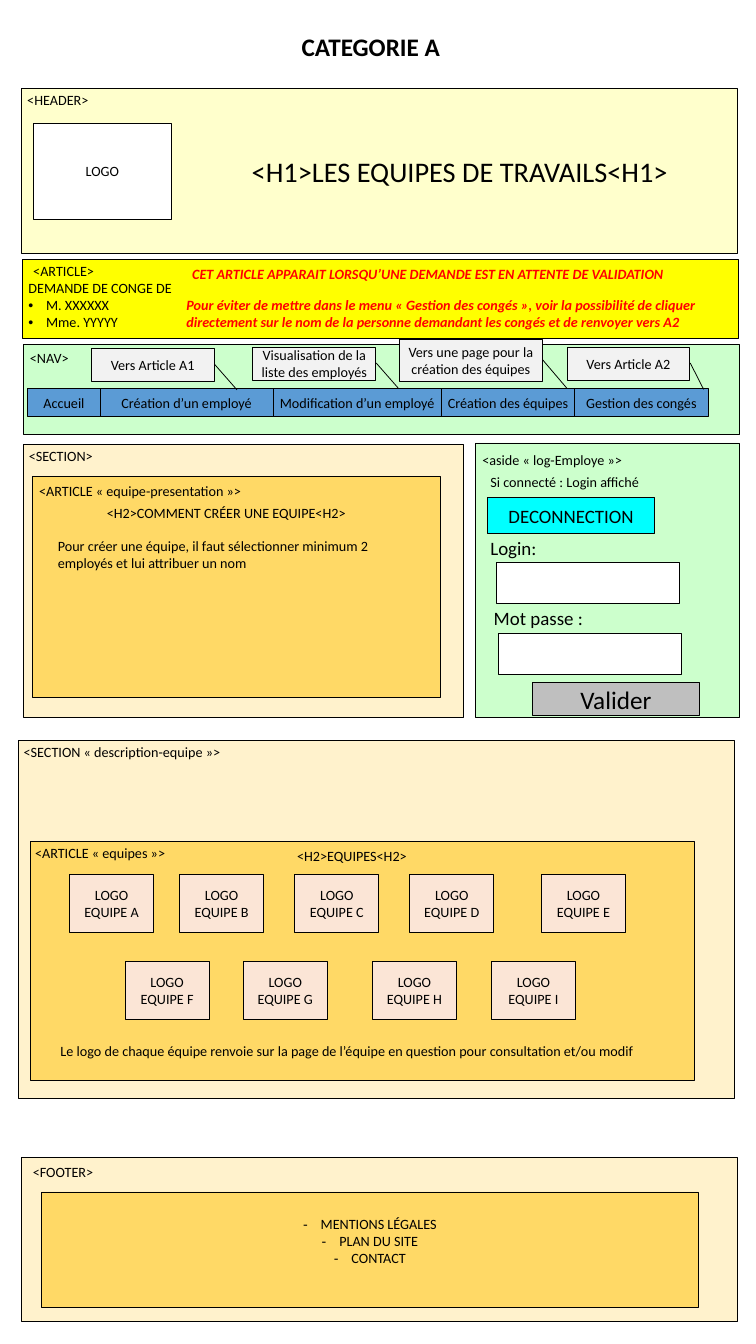
import pptx
import pptx.util
import pptx.dml.color
import pptx.enum.shapes
import pptx.enum.text
import pptx.oxml.ns
import lxml.etree

Cm, Pt = pptx.util.Cm, pptx.util.Pt
SHAPE = pptx.enum.shapes.MSO_SHAPE
ANCHOR = pptx.enum.text.MSO_ANCHOR
ALIGN = pptx.enum.text.PP_ALIGN

CREAM, GOLD, GREEN, BLUE = "FFF2CC", "FFD966", "CCFFCC", "5B9BD5"
FULL_WIDTH, LINE_HEIGHT = 32.08, 1.02
CENTRED = dict(align=ALIGN.CENTER, anchor=ANCHOR.MIDDLE)
ALERT = dict(color="FF0000", bold=True, italic=True)
BORDER = dict(border="000000")

# Each part: text, (left, top, width, height) in cm, look
HEADER = [
    ("", (0.97, 3.96, FULL_WIDTH, 7.37), dict(fill="FFFFCC", **BORDER)),
    ("<HEADER>", (0.97, 3.96, 4, LINE_HEIGHT), {}),
    ("LOGO", (1.5, 5.51, 6.17, 4.32), dict(fill="FFFFFF", **BORDER, **CENTRED)),
    ("<H1>LES EQUIPES DE TRAVAILS<H1>", (10, 4.62, 21.2, 6.07), dict(size=36, **CENTRED)),
]
FOOTER = [
    ("", (0.97, 51.84, FULL_WIDTH, 7.37), dict(fill=CREAM, **BORDER)),
    ("<FOOTER>", (1.22, 51.99, 4, LINE_HEIGHT), dict(fill=CREAM)),
]
LEGAL_LINKS = ["MENTIONS LÉGALES", "PLAN DU SITE", "CONTACT"]
NAV = [
    ("", (1.04, 15.44, FULL_WIDTH, 4.04), dict(fill=GREEN, **BORDER)),
    ("<NAV>", (1.09, 15.52, 4, LINE_HEIGHT), dict(fill=GREEN)),
]
NAV_LEFT, NAV_TOP, NAV_HEIGHT = 1.24, 17.42, 1.22
NAV_BUTTONS = [
    ("Accueil", 3.25),
    ("Création d’un employé", 7.74),
    ("Modification d’un employé", 7.55),
    ("Création des équipes", 5.97),
    ("Gestion des congés", 5.97),
]
# Callouts: text, place, where the pointer ends (down, across)
CALLOUTS = [
    ("Vers Article A1", (4.09, 15.6, 5.51, 1.5), (1.242, -0.185)),
    ("Visualisation de la liste des employés", (11.33, 15.54, 5.51, 1.5), (1.242, -0.185)),
    ("Vers une page pour la création des équipes", (17.91, 15.21, 6.38, 1.88), (1.165, -0.175)),
    ("Vers Article A2", (25.4, 15.54, 5.51, 1.5), (1.269, -0.112)),
]
PRESENTATION = [
    ("<SECTION>", (1.04, 19.89, 19.71, 12.24), dict(fill=CREAM, **BORDER)),
    ("", (1.45, 21.36, 18.29, 9.86), dict(fill=GOLD, **BORDER)),
    ("<ARTICLE «\u00a0equipe-presentation\u00a0»>", (1.5, 21.49, 9.83, LINE_HEIGHT), dict(fill=GOLD)),
    ("Pour créer une équipe, il faut sélectionner minimum 2 employés et lui attribuer un nom",
     (2.34, 23.95, 16.54, 1.8), {}),
    ("<H2>COMMENT CRÉER UNE EQUIPE<H2>", (4.17, 22.38, 11.94, 1.14), dict(fill=GOLD, **CENTRED)),
]
DESCRIPTION = [
    ("<SECTION «\u00a0description-equipe »>", (0.81, 33.15, FULL_WIDTH, 16.05), dict(fill=CREAM, **BORDER)),
    ("", (1.37, 37.69, 29.74, 10.72), dict(fill=GOLD, **BORDER)),
    ("<ARTICLE «\u00a0equipes\u00a0»>", (1.32, 37.69, 6.81, LINE_HEIGHT), {}),
    ("Le logo de chaque équipe renvoie sur la page de l’équipe en question pour consultation et/ou modif",
     (2.46, 46.58, 26.64, LINE_HEIGHT), {}),
    ("<H2>EQUIPES<H2>", (12.24, 37.82, 7.06, 1.07), dict(fill=GOLD, **CENTRED)),
]
TEAM_SIZE = (3.76, 2.59)
TEAM_ROWS = [
    (39.16, [("A", 3.12), ("B", 8.05), ("C", 13.21), ("D", 18.36), ("E", 24.26)]),
    (43.05, [("F", 5.61), ("G", 10.9), ("H", 16.69), ("I", 22.02)]),
]
ASIDE = [
    ("", (21.29, 19.84, 11.84, 12.29), dict(fill=GREEN, **BORDER)),
    ("<aside « log-Employe »>", (21.36, 20.09, 6.99, LINE_HEIGHT), {}),
    ("DECONNECTION", (21.84, 22.28, 7.49, 1.63), dict(fill="00FFFF", size=24, **BORDER, **CENTRED)),
    ("Login:", (21.72, 23.93, 7.01, 1.27), dict(size=24)),
    ("Mot passe :", (21.87, 27.03, 7.01, 1.27), dict(size=24)),
    ("", (22.25, 25.17, 8.2, 1.88), dict(fill="FFFFFF", **BORDER)),
    ("", (22.35, 28.35, 8.2, 1.88), dict(fill="FFFFFF", **BORDER)),
    ("Si connecté : Login affiché", (21.72, 21.06, 10.64, LINE_HEIGHT), {}),
    ("Valider", (23.85, 30.56, 7.49, 1.5), dict(fill="BFBFBF", size=32, **BORDER, **CENTRED)),
]
LEAVE_REQUESTS = ["DEMANDE DE CONGE DE", "M. XXXXXX", "Mme. YYYYY"]
LEAVE_NOTES = [
    ("<ARTICLE>", (1.24, 11.63, 13.51, LINE_HEIGHT), {}),
    ("CET ARTICLE APPARAIT LORSQU’UNE DEMANDE EST EN ATTENTE DE VALIDATION",
     (8.36, 11.76, 22.68, LINE_HEIGHT), ALERT),
    ("Pour éviter de mettre dans le menu «\u00a0Gestion des congés\u00a0», voir la possibilité de cliquer "
     "directement sur le nom de la personne demandant les congés et de renvoyer vers A2",
     (8.1, 13.16, 24.26, 1.8), ALERT),
]


def rgb(value):
    """Turn a hex string into a colour."""
    return pptx.dml.color.RGBColor.from_string(value)


def write(shape, text, size=18, color="000000", bold=False, italic=False,
          align=ALIGN.LEFT, anchor=ANCHOR.TOP):
    """Write text, one paragraph a line, in the given format."""
    frame = shape.text_frame
    frame.text = text
    frame.word_wrap = True
    frame.auto_size = pptx.enum.text.MSO_AUTO_SIZE.NONE
    frame.vertical_anchor = anchor
    for paragraph in frame.paragraphs:
        paragraph.alignment = align
        paragraph.space_before = Pt(0)
        font = paragraph.font
        for run in paragraph.runs:
            font = run.font
            font.name, font.size, font.bold, font.italic = "Calibri", Pt(size), bold, italic
            font.color.rgb = rgb(color)


def paint(shape, fill, border):
    """Give a shape its fill and outline, or none."""
    shape.shadow.inherit = False
    if fill:
        shape.fill.solid()
        shape.fill.fore_color.rgb = rgb(fill)
    else:
        shape.fill.background()
    if border:
        shape.line.color.rgb = rgb(border)
        shape.line.width = Pt(1)
    else:
        shape.line.fill.background()


def add_part(text, place, fill=None, border=None, kind=SHAPE.RECTANGLE, **text_format):
    """Add a box, or a plain text box when it has no fill."""
    lengths = [Cm(length) for length in place]
    if fill:
        part = slide.shapes.add_shape(kind, *lengths)
        paint(part, fill, border)
    else:
        part = slide.shapes.add_textbox(*lengths)
    if text:
        write(part, text, **text_format)
    return part


def add_parts(parts):
    """Add the parts of one page area."""
    for text, place, look in parts:
        add_part(text, place, **look)


def fill_placeholder(holder, text, place, fill=None, border=None, **text_format):
    """Move a placeholder to the front, then format and fill it."""
    holder.element.getparent().append(holder.element)
    holder.left, holder.top, holder.width, holder.height = [Cm(length) for length in place]
    paint(holder, fill, border)
    write(holder, text, **text_format)


def set_bullets(paragraphs, mark=None):
    """Set a hanging bullet, or remove the inherited one."""
    hang = Cm(0.79) if mark else 0
    for paragraph in paragraphs:
        properties = paragraph._p.get_or_add_pPr()
        properties.set("marL", str(hang))
        properties.set("indent", str(-hang))
        tag = pptx.oxml.ns.qn("a:buChar" if mark else "a:buNone")
        bullet = lxml.etree.SubElement(properties, tag)
        if mark:
            bullet.set("char", mark)


deck = pptx.Presentation()
deck.slide_width, deck.slide_height = Cm(33.87), Cm(60.2)
slide = deck.slides.add_slide(deck.slide_layouts.get_by_name("Two Content"))
page_title, leave_list, legal_list = slide.placeholders

add_parts(HEADER)
fill_placeholder(page_title, "CATEGORIE A", (13.26, 1.27, 7.19, 1.63), size=32, bold=True)

add_parts(FOOTER)
fill_placeholder(legal_list, "\n".join(LEGAL_LINKS), (1.85, 53.39, 29.44, 5.18), fill=GOLD, **BORDER, **CENTRED)
legal_list.text_frame.margin_bottom = Cm(0.9)
set_bullets(legal_list.text_frame.paragraphs, "-")

add_parts(NAV)
button_left = NAV_LEFT
for label, width in NAV_BUTTONS:
    add_part(label, (button_left, NAV_TOP, width, NAV_HEIGHT), fill=BLUE, **BORDER, **CENTRED)
    button_left += width
for label, place, pointer_end in CALLOUTS:
    callout = add_part(label, place, fill="F2F2F2", kind=SHAPE.LINE_CALLOUT_1, **BORDER, **CENTRED)
    for index, value in enumerate((0.48, -0.003) + pointer_end):
        callout.adjustments[index] = value
    callout.element.spPr.find(pptx.oxml.ns.qn("a:xfrm")).set("flipH", "1")

add_parts(PRESENTATION)
add_parts(DESCRIPTION)
for top, teams in TEAM_ROWS:
    for team, left in teams:
        add_part(f"LOGO\nEQUIPE {team}", (left, top, *TEAM_SIZE), fill="FBE5D6", **BORDER, **CENTRED)
add_parts(ASIDE)

fill_placeholder(leave_list, "\n".join(LEAVE_REQUESTS), (1.02, 11.63, FULL_WIDTH, 3.53), fill="FFFF00", **BORDER)
leave_list.text_frame.margin_top = Cm(0.9)
set_bullets(leave_list.text_frame.paragraphs[:1])
set_bullets(leave_list.text_frame.paragraphs[1:], "•")
add_parts(LEAVE_NOTES)

deck.save("out.pptx")
